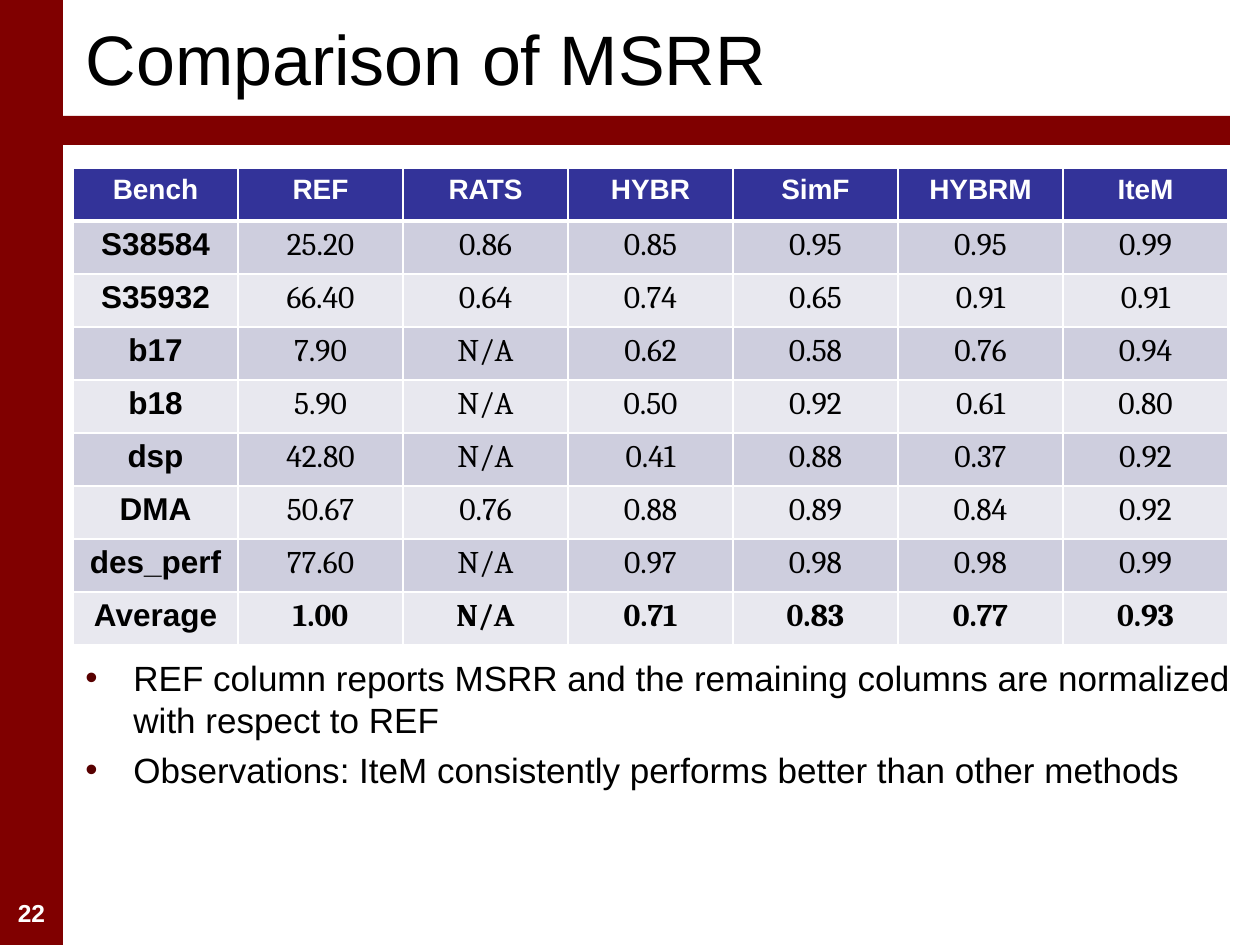
from lxml import etree
from pptx import Presentation
from pptx.dml.color import RGBColor
from pptx.enum.shapes import MSO_SHAPE
from pptx.enum.text import MSO_ANCHOR, MSO_AUTO_SIZE, PP_ALIGN
from pptx.oxml.ns import qn
from pptx.util import Pt

RECTANGLE = MSO_SHAPE.RECTANGLE
MIDDLE = MSO_ANCHOR.MIDDLE
GROW, FIXED = MSO_AUTO_SIZE.SHAPE_TO_FIT_TEXT, MSO_AUTO_SIZE.NONE
LEFT, CENTER = PP_ALIGN.LEFT, PP_ALIGN.CENTER
EMU_PER_PX = 914400 / 126

COLORS = {
    "maroon": "800000",
    "bullet": "580000",
    "header": "333399",
    "odd_row": "CECEDE",
    "even_row": "E8E8EF",
    "white": "FFFFFF",
    "black": "000000",
}
FORMATS = {
    "title": {"name": "Arial", "size": Pt(40), "bold": False},
    "number": {"name": "Arial", "size": Pt(14), "bold": True},
    "body": {"name": "Arial", "size": Pt(20), "bold": False},
    "header": {"name": "Arial", "size": Pt(16), "bold": True},
    "bench": {"name": "Arial", "size": Pt(18), "bold": True},
    "value": {"name": "Cambria", "size": Pt(18), "bold": False},
    "average": {"name": "Cambria", "size": Pt(18), "bold": True},
}
RESULTS = [
    ["Bench", "REF", "RATS", "HYBR", "SimF", "HYBRM", "IteM"],
    ["S38584", "25.20", "0.86", "0.85", "0.95", "0.95", "0.99"],
    ["S35932", "66.40", "0.64", "0.74", "0.65", "0.91", "0.91"],
    ["b17", "7.90", "N/A", "0.62", "0.58", "0.76", "0.94"],
    ["b18", "5.90", "N/A", "0.50", "0.92", "0.61", "0.80"],
    ["dsp", "42.80", "N/A", "0.41", "0.88", "0.37", "0.92"],
    ["DMA", "50.67", "0.76", "0.88", "0.89", "0.84", "0.92"],
    ["des_perf", "77.60", "N/A", "0.97", "0.98", "0.98", "0.99"],
    ["Average", "1.00", "N/A", "0.71", "0.83", "0.77", "0.93"],
]
REMARKS = [
    "REF column reports MSRR and the remaining columns are normalized with respect to REF",
    "Observations: IteM consistently performs better than other methods",
]


def px(length):
    return round(length * EMU_PER_PX)


def rgb(color):
    return RGBColor.from_string(COLORS[color])


def write(paragraph, text, style, color="black", align=LEFT):
    paragraph.alignment = align
    run = paragraph.add_run()
    run.text = text
    for attribute, value in FORMATS[style].items():
        setattr(run.font, attribute, value)
    run.font.color.rgb = rgb(color)


def add_band(slide, *box):
    band = slide.shapes.add_shape(RECTANGLE, *map(px, box))
    band.shadow.inherit = False
    band.fill.solid()
    band.fill.fore_color.rgb = rgb("maroon")
    band.line.fill.background()


def place_title(slide, text, *box):
    title = slide.shapes.title
    title.left, title.top, title.width, title.height = map(px, box)
    frame = title.text_frame
    frame.auto_size = FIXED
    frame.vertical_anchor = MIDDLE
    write(frame.paragraphs[0], text, "title")


def add_text_frame(slide, *box):
    frame = slide.shapes.add_textbox(*map(px, box)).text_frame
    frame.word_wrap = True
    frame.auto_size = GROW
    return frame


def add_bullet(paragraph):
    paragraph.space_before = Pt(4.8)
    properties = paragraph._p.get_or_add_pPr()
    properties.set("marL", str(px(48)))
    properties.set("indent", str(px(-48)))
    bullet_color = etree.SubElement(properties, qn("a:buClr"))
    etree.SubElement(bullet_color, qn("a:srgbClr"), val=COLORS["bullet"])
    etree.SubElement(properties, qn("a:buFont"), typeface="Arial")
    etree.SubElement(properties, qn("a:buChar"), char="•")


def add_remarks(slide, remarks, *box):
    frame = add_text_frame(slide, *box)
    for index, remark in enumerate(remarks):
        paragraph = frame.add_paragraph() if index else frame.paragraphs[0]
        write(paragraph, remark, "body")
        add_bullet(paragraph)


def border_cell(cell, widths):
    properties = cell._tc.get_or_add_tcPr()
    for side, width in widths.items():
        border = etree.SubElement(properties, qn(f"a:ln{side}"), w=str(Pt(width)))
        fill = etree.SubElement(border, qn("a:solidFill"))
        etree.SubElement(fill, qn("a:srgbClr"), val=COLORS["white"])


def cell_style(row, column, last_row):
    if row == 0:
        return "header"
    if column == 0:
        return "bench"
    return "average" if row == last_row else "value"


def add_results(slide, results, left, top, column_width, row_height):
    rows, columns = len(results), len(results[0])
    box = (left, top, columns * column_width, rows * row_height)
    table = slide.shapes.add_table(rows, columns, *map(px, box)).table
    for column in table.columns:
        column.width = px(column_width)
    for row, entries in enumerate(results):
        table.rows[row].height = px(row_height)
        band = "header" if row == 0 else "odd_row" if row % 2 else "even_row"
        widths = {"L": 1, "R": 1, "T": 3 if row == 1 else 1, "B": 3 if row == 0 else 1}
        for column, entry in enumerate(entries):
            cell = table.cell(row, column)
            border_cell(cell, widths)
            cell.fill.solid()
            cell.fill.fore_color.rgb = rgb(band)
            style = cell_style(row, column, rows - 1)
            color = "black" if row else "white"
            write(cell.text_frame.paragraphs[0], entry, style, color, CENTER)


def main():
    presentation = Presentation()
    presentation.slide_width, presentation.slide_height = px(1260), px(945)
    slide = presentation.slides.add_slide(presentation.slide_layouts[5])
    add_band(slide, 0, 0, 63, 945)
    slide_number = add_text_frame(slide, 0, 892, 63, 42)
    write(slide_number.paragraphs[0], "22", "number", "white", CENTER)
    add_band(slide, 53, 116, 1177, 29)
    place_title(slide, "Comparison of MSRR", 73, -10, 1155, 136)
    add_results(slide, RESULTS, 73, 168, 165, 53)
    add_remarks(slide, REMARKS, 73, 650, 1176, 149)
    presentation.save("out.pptx")


if __name__ == "__main__":
    main()
